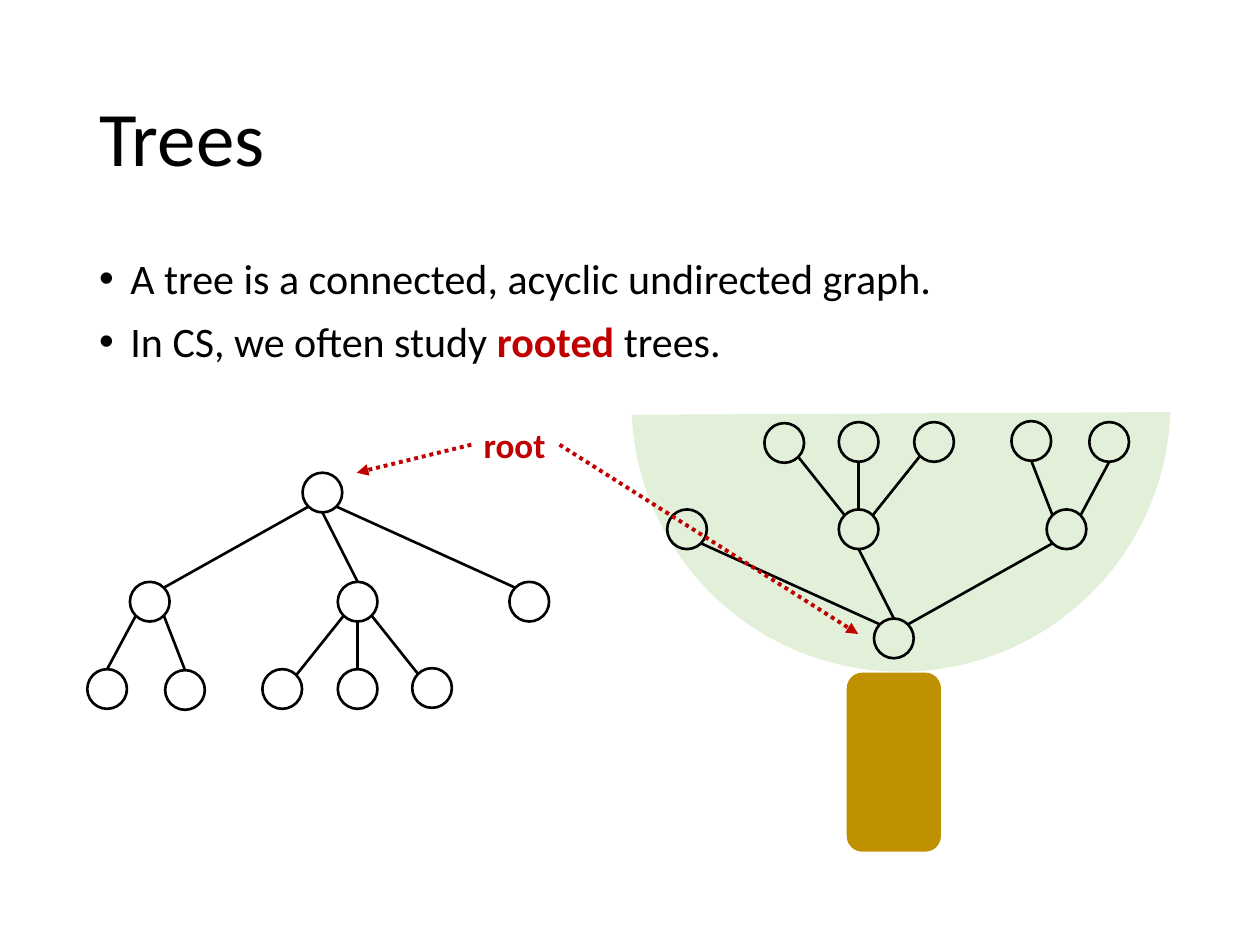
from dataclasses import dataclass
from lxml.etree import SubElement
from pptx import Presentation
from pptx.dml.color import RGBColor as RGB
from pptx.enum.dml import MSO_LINE as DASH
from pptx.enum.shapes import MSO_CONNECTOR as CONNECTOR, MSO_SHAPE as SHAPE
from pptx.enum.text import MSO_ANCHOR as ANCHOR, MSO_AUTO_SIZE as AUTOSIZE
from pptx.oxml.ns import qn
from pptx.util import Cm, Pt


@dataclass(frozen=True)
class Theme:
    font: str = "Calibri"
    ink: RGB = RGB(0, 0, 0)
    accent: RGB = RGB(0xC0, 0, 0)
    crown: RGB = RGB(0xE2, 0xF0, 0xD9)
    trunk: RGB = RGB(0xBF, 0x90, 0)
    title_size: Pt = Pt(44)
    body_size: Pt = Pt(24)
    label_size: Pt = Pt(20)
    edge_width: Pt = Pt(1.5)
    arrow_width: Pt = Pt(2.25)


theme = Theme()


def style_run(run, size, color=theme.ink, bold=False):
    run.font.name = theme.font
    run.font.size = size
    run.font.bold = bold
    run.font.color.rgb = color


def add_line(x1, y1, x2, y2, color, width):
    line = slide.shapes.add_connector(CONNECTOR.STRAIGHT, Cm(x1), Cm(y1), Cm(x2), Cm(y2))
    line.line.color.rgb = color
    line.line.width = width
    SubElement(line._element.spPr, qn("a:effectLst"))
    return line


deck = Presentation()
deck.slide_width, deck.slide_height = Cm(25.4), Cm(19.05)
slide = deck.slides.add_slide(deck.slide_layouts[6])

title = slide.shapes.add_textbox(Cm(1.75), Cm(1.02), Cm(21.9), Cm(3.68)).text_frame
title.word_wrap = True
title.vertical_anchor = ANCHOR.MIDDLE
title.text = "Trees"
title.paragraphs[0].line_spacing = 0.9
style_run(title.paragraphs[0].runs[0], theme.title_size)

statements = [
    [("A tree is a connected, acyclic undirected graph.", False)],
    [("In CS, we often study ", False), ("rooted", True), (" trees.", False)],
]
body = slide.shapes.add_textbox(Cm(1.75), Cm(5.08), Cm(21.9), Cm(12.09)).text_frame
body.word_wrap = True
for i, statement in enumerate(statements):
    bullet = body.add_paragraph() if i else body.paragraphs[0]
    bullet.line_spacing = 0.9
    bullet.space_before = Pt(10)
    props = bullet._p.get_or_add_pPr()
    props.set("marL", str(Cm(0.63)))
    props.set("indent", str(-Cm(0.63)))
    SubElement(props, qn("a:buFont"), typeface="Arial")
    SubElement(props, qn("a:buChar"), char="•")
    for words, is_key in statement:
        run = bullet.add_run()
        run.text = words
        style_run(run, theme.body_size, theme.accent if is_key else theme.ink, is_key)

root_label = slide.shapes.add_textbox(Cm(9.5), Cm(8.41), Cm(1.78), Cm(1.11))
root_label.text_frame.word_wrap = False
root_label.text_frame.auto_size = AUTOSIZE.SHAPE_TO_FIT_TEXT
root_label.text_frame.text = "root"
style_run(root_label.text_frame.paragraphs[0].runs[0], theme.label_size, theme.accent, True)

crown = slide.shapes.add_shape(SHAPE.CHORD, Cm(12.73), Cm(2.67), Cm(10.87), Cm(10.87))
crown.adjustments[0], crown.adjustments[1] = 22.69, 127.8
crown.rotation = 324.3
trunk = slide.shapes.add_shape(SHAPE.ROUNDED_RECTANGLE, Cm(17.07), Cm(13.56), Cm(1.9), Cm(3.61))
for part, color in ((crown, theme.crown), (trunk, theme.trunk)):
    part.shadow.inherit = False
    part.fill.solid()
    part.fill.fore_color.rgb = color
    part.line.fill.background()

nodes = {
    "root": (6.5, 9.93),
    "left": (3.02, 12.13), "middle": (7.21, 12.13), "right": (10.67, 12.13),
    "left 1": (2.16, 13.89), "left 2": (3.73, 13.91),
    "middle 1": (5.69, 13.89), "middle 2": (7.21, 13.89), "middle 3": (8.71, 13.87),
}
edges = [
    ("root", -1, "left", 1), ("root", 0, "middle", 0), ("root", 1, "right", -1),
    ("left", -1, "left 1", 0), ("left", 1, "left 2", 0),
    ("middle", -1, "middle 1", 1), ("middle", 0, "middle 2", 0), ("middle", 1, "middle 3", -1),
]
radius = 0.4
diagonal = radius * 0.71
drop = {-1: diagonal, 0: radius, 1: diagonal}

for origin_x, origin_y, turn in ((0, 0, 1), (24.52, 22.8, -1)):
    for x, y in nodes.values():
        node = slide.shapes.add_shape(
            SHAPE.OVAL, Cm(origin_x + turn * x - radius), Cm(origin_y + turn * y - radius),
            Cm(2 * radius), Cm(2 * radius))
        node.shadow.inherit = False
        node.fill.background()
        node.line.color.rgb = theme.ink
        node.line.width = theme.edge_width
    for parent, parent_side, child, child_side in edges:
        (px, py), (cx, cy) = nodes[parent], nodes[child]
        add_line(
            origin_x + turn * (px + parent_side * diagonal),
            origin_y + turn * (py + drop[parent_side]),
            origin_x + turn * (cx + child_side * diagonal),
            origin_y + turn * (cy - drop[child_side]),
            theme.ink, theme.edge_width)

for side, start_x, tip_x, tip_y in ((1, 9.5, 7.19, 9.53), (3, 11.28, 17.3, 12.78)):
    arrow = add_line(start_x, 8.97, tip_x, tip_y, theme.accent, theme.arrow_width)
    arrow.begin_connect(root_label, side)
    arrow.line.dash_style = DASH.ROUND_DOT
    SubElement(arrow.line._get_or_add_ln(), qn("a:tailEnd"), type="triangle")

deck.save("out.pptx")
